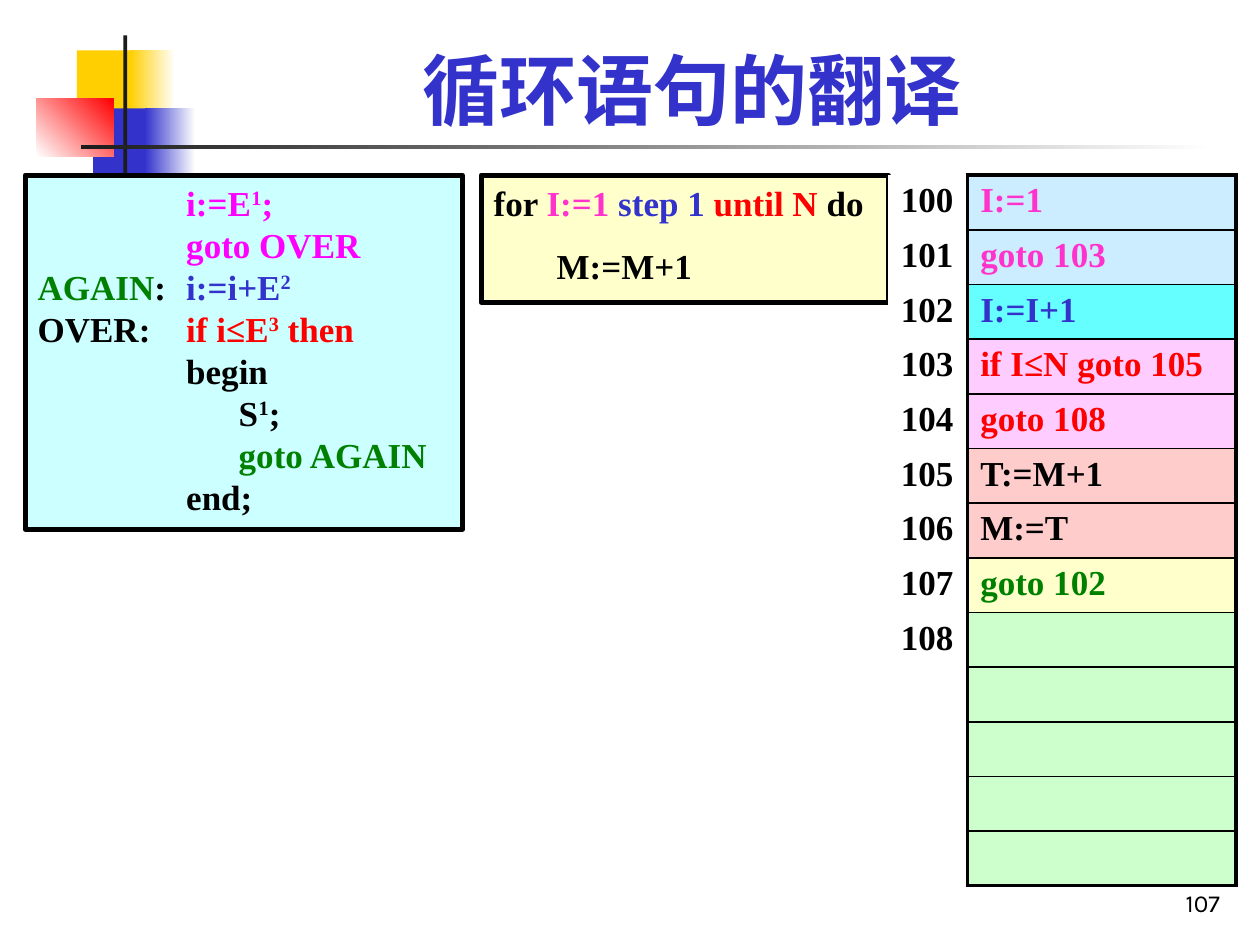
from lxml import etree
from pptx import Presentation
from pptx.dml.color import RGBColor
from pptx.enum.lang import MSO_LANGUAGE_ID as Language
from pptx.enum.shapes import MSO_SHAPE as Shape
from pptx.enum.text import MSO_ANCHOR as Anchor, MSO_AUTO_SIZE as AutoSize, PP_ALIGN as Align
from pptx.oxml.ns import qn
from pptx.util import Inches, Pt

SERIF = "Times New Roman"
BLACK, WHITE, BLUE, RED, GREEN = "000000", "FFFFFF", "3333CC", "FF0000", "008000"
PINK, MAGENTA, YELLOW, CHARCOAL = "FF33CC", "FF00FF", "FFCF01", "1C1C1C"
CODE_TAB = 1.18
INDENT = " " * 17
DEEP_INDENT = " " * 23

DECORATION = [
    ((0.61, 0.4, 0.48, 0.52), (YELLOW,), 0),
    ((1.03, 0.4, 0.36, 0.52), (YELLOW, WHITE), 0),
    ((0.74, 0.86, 0.46, 0.52), (BLUE,), 0),
    ((1.15, 0.86, 0.4, 0.52), (BLUE, WHITE), 0),
    ((0.29, 0.78, 0.61, 0.46), (WHITE, RED), 45),
    ((0.98, 0.28, 0.03, 1.15), (CHARCOAL,), 0),
    ((0.64, 1.15, 9, 0.03), (CHARCOAL, WHITE), 0),
]

SCHEME = [
    [(INDENT + "i:=E", MAGENTA), ("1", MAGENTA, True), (";", MAGENTA)],
    [(INDENT + "goto OVER", MAGENTA)],
    [("AGAIN", GREEN), (":\t", BLACK), ("i:=i+E", BLUE), ("2", BLUE, True)],
    [("OVER:\t", BLACK), ("if i≤E", RED), ("3", RED, True), (" then", RED)],
    [(INDENT + "begin", BLACK)],
    [(DEEP_INDENT + "S", BLACK), ("1", BLACK, True), (";", BLACK)],
    [(DEEP_INDENT + "goto AGAIN", GREEN)],
    [(INDENT + "end;", BLACK)],
]

LOOP = [
    [("for ", BLACK), ("I:=1 ", PINK), ("step 1 ", BLUE), ("until N", RED), (" do", BLACK)],
    [("M:=M+1", BLACK)],
]

CODE_ROWS = [
    ("I:=1", PINK, "CCECFF"),
    ("goto 103", PINK, "CCECFF"),
    ("I:=I+1", BLUE, "66FFFF"),
    ("if I≤N goto 105", RED, "FFCCFF"),
    ("goto 108", RED, "FFCCFF"),
    ("T:=M+1", BLACK, "FFCCCC"),
    ("M:=T", BLACK, "FFCCCC"),
    ("goto 102", GREEN, "FFFFCC"),
] + [("", BLACK, "CCFFCC")] * 5
FIRST_ADDRESS, LAST_ADDRESS = 100, 108


def color(value):
    return RGBColor.from_string(value)


def set_fill(fill, value):
    fill.solid()
    fill.fore_color.rgb = color(value)


def add_run(paragraph, text, value, superscript=False, size=20, name=SERIF, bold=True):
    run = paragraph.add_run()
    run.text = text
    run.font.size = Pt(size)
    run.font.name = name
    run.font.bold = bold
    run.font.color.rgb = color(value)
    if superscript:
        run.font._element.set("baseline", "30000")
    return run


def add_rectangle(slide, place):
    shape = slide.shapes.add_shape(Shape.RECTANGLE, *map(Inches, place))
    shape.shadow.inherit = False
    return shape


def add_decoration(slide, place, colors, angle):
    shape = add_rectangle(slide, place)
    shape.line.fill.background()
    if len(colors) == 1:
        set_fill(shape.fill, colors[0])
        return
    shape.fill.gradient()
    shape.fill.gradient_angle = angle
    for stop, value in zip(shape.fill.gradient_stops, colors):
        stop.color.rgb = color(value)


def add_title(slide, text):
    title = slide.shapes.title
    title.left, title.top, title.width, title.height = map(Inches, (1.22, 0.36, 8.55, 0.76))
    frame = title.text_frame
    frame.auto_size = AutoSize.NONE
    frame.vertical_anchor = Anchor.BOTTOM
    paragraph = frame.paragraphs[0]
    paragraph.alignment = Align.CENTER
    run = add_run(paragraph, text, BLUE, size=44)
    run.font.language_id = Language.SIMPLIFIED_CHINESE


def add_code_box(slide, place, background, lines):
    shape = add_rectangle(slide, place)
    set_fill(shape.fill, background)
    shape.line.color.rgb = color(BLACK)
    shape.line.width = Pt(3)
    frame = shape.text_frame
    frame.word_wrap = True
    frame.vertical_anchor = Anchor.TOP
    for index, runs in enumerate(lines):
        paragraph = frame.add_paragraph() if index else frame.paragraphs[0]
        paragraph.alignment = Align.LEFT
        paragraph.line_spacing = Pt(24)
        for run in runs:
            add_run(paragraph, *run)
    return frame.paragraphs


def add_tab_stop(paragraph, position):
    properties = paragraph._p.get_or_add_pPr()
    tabs = etree.SubElement(properties, qn("a:tabLst"))
    etree.SubElement(tabs, qn("a:tab"), pos=str(Inches(position)), algn="l")


def set_borders(cell, **widths):
    properties = cell._tc.get_or_add_tcPr()
    for index, side in enumerate("LRTB"):
        width = widths.get(side, 0)
        line = etree.Element(qn(f"a:ln{side}"), w=str(Pt(width)))
        if width:
            fill = etree.SubElement(line, qn("a:solidFill"))
            etree.SubElement(fill, qn("a:srgbClr"), val=BLACK)
        else:
            etree.SubElement(line, qn("a:noFill"))
        properties.insert(index, line)


def fill_cell(cell, text, value, background):
    set_fill(cell.fill, background)
    if text:
        add_run(cell.text_frame.paragraphs[0], text, value)


def add_code_table(slide):
    count = len(CODE_ROWS)
    place = map(Inches, (7.05, 1.39, 2.76, 5.64))
    table = slide.shapes.add_table(count, 2, *place).table
    table.first_row = table.horz_banding = False
    table.columns[0].width = Inches(0.63)
    table.columns[1].width = Inches(2.13)
    for index, (text, value, background) in enumerate(CODE_ROWS):
        address = FIRST_ADDRESS + index
        label = str(address) if address <= LAST_ADDRESS else ""
        fill_cell(table.cell(index, 0), label, BLACK, WHITE)
        set_borders(table.cell(index, 0), R=2.25)
        fill_cell(table.cell(index, 1), text, value, background)
        top = 1 if index else 2.25
        bottom = 1 if index < count - 1 else 2.25
        set_borders(table.cell(index, 1), L=2.25, R=2.25, T=top, B=bottom)


def add_page_number(slide, text):
    frame = slide.shapes.add_textbox(*map(Inches, (7.7, 6.83, 2.08, 0.5))).text_frame
    frame.word_wrap = True
    frame.vertical_anchor = Anchor.BOTTOM
    frame.paragraphs[0].alignment = Align.RIGHT
    add_run(frame.paragraphs[0], text, BLACK, size=14, name="Karla", bold=False)


def main():
    presentation = Presentation()
    presentation.slide_width, presentation.slide_height = Inches(10), Inches(7.5)
    slide = presentation.slides.add_slide(presentation.slide_layouts[5])
    for place, colors, angle in DECORATION:
        add_decoration(slide, place, colors, angle)
    add_page_number(slide, "107")
    add_title(slide, "循环语句的翻译")
    loop = add_code_box(slide, (3.82, 1.39, 3.23, 1.01), "FFFFCC", LOOP)
    loop[1].space_before = Pt(12)
    loop[1]._p.get_or_add_pPr().set("marL", str(Inches(0.5)))
    add_code_table(slide)
    scheme = add_code_box(slide, (0.2, 1.39, 3.47, 2.81), "CCFFFF", SCHEME)
    for paragraph in scheme[2:4]:
        add_tab_stop(paragraph, CODE_TAB)
    presentation.save("out.pptx")


if __name__ == "__main__":
    main()
